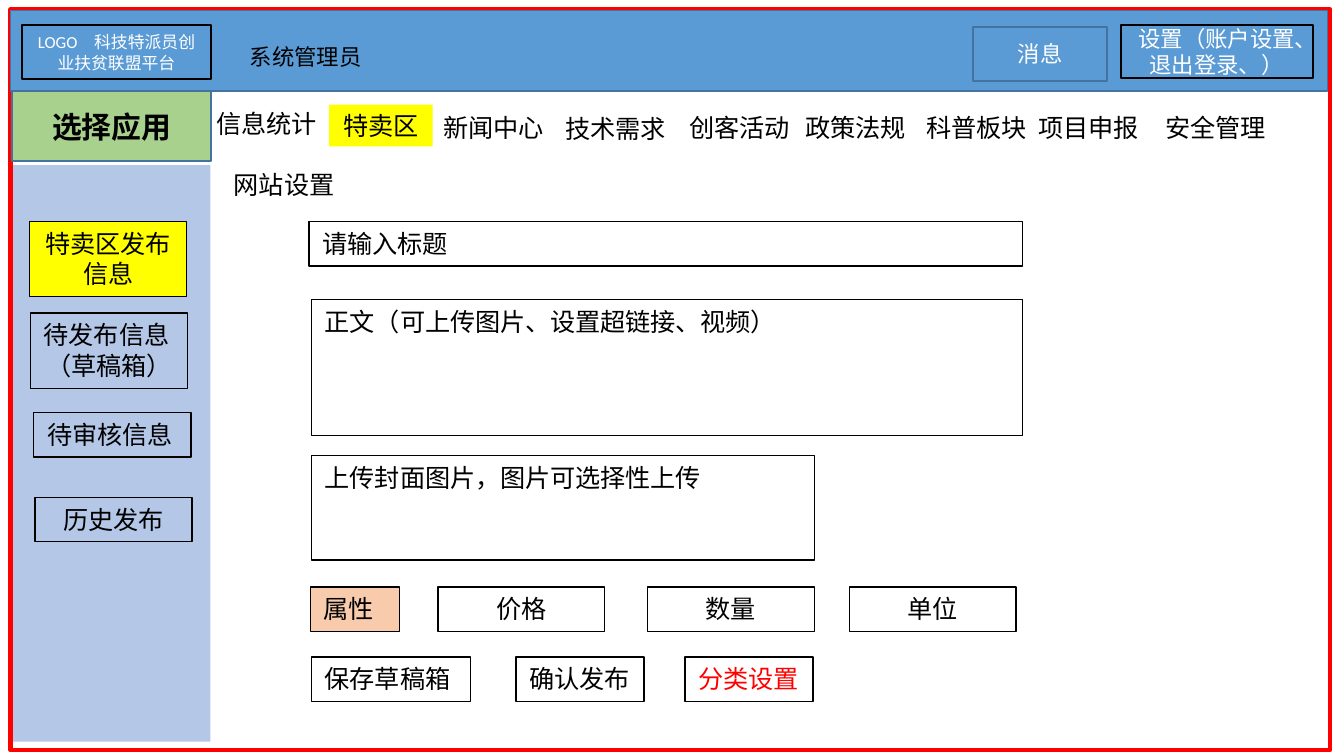
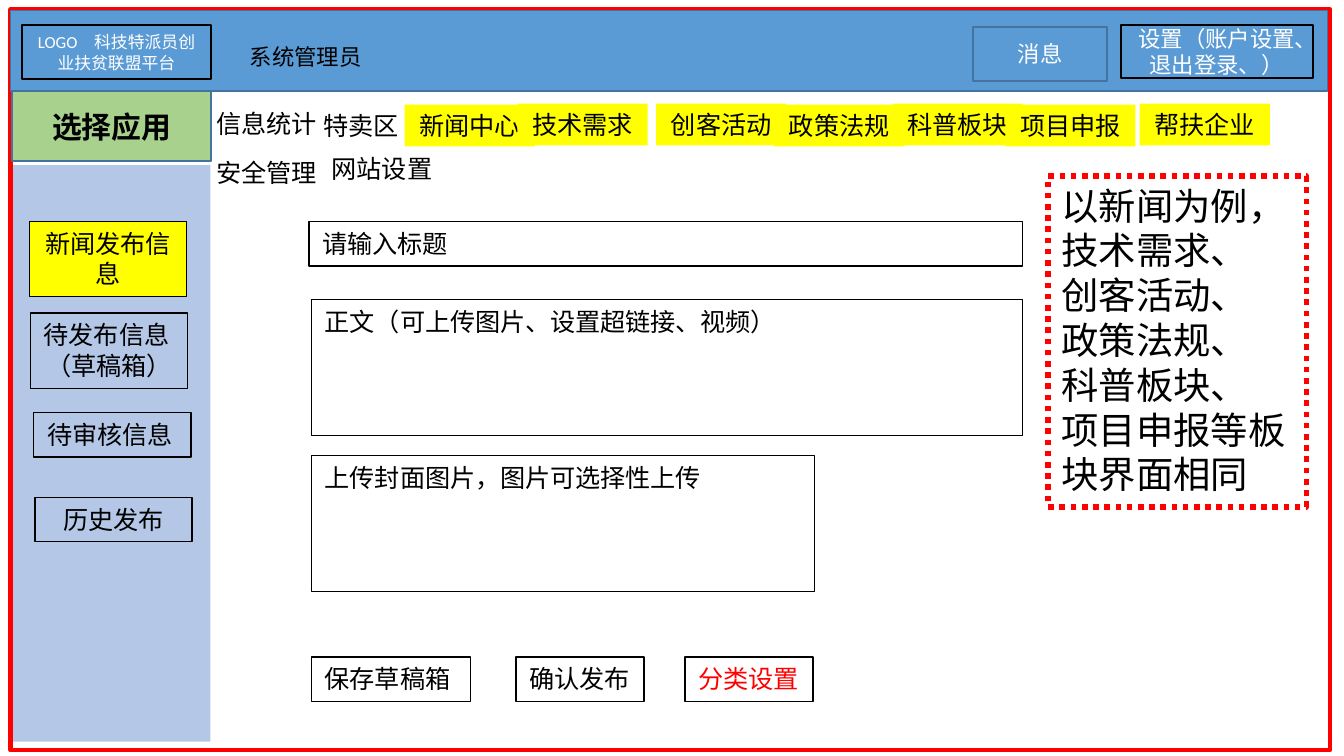
"""Build two wireframe slides of a publishing console."""
import dataclasses
import typing

import pptx
import pptx.dml.color
import pptx.enum.dml
import pptx.enum.shapes
import pptx.enum.text
import pptx.slide
import pptx.util

Cm = pptx.util.Cm
Pt = pptx.util.Pt
ALIGN = pptx.enum.text.PP_ALIGN
ANCHOR = pptx.enum.text.MSO_ANCHOR


@dataclasses.dataclass(frozen=True)
class Theme:
    font: str = "Calibri"
    black: str = "000000"
    white: str = "FFFFFF"
    red: str = "FF0000"
    blue: str = "5B9BD5"
    navy: str = "43739E"
    green: str = "A9D18E"
    pale: str = "B4C7E7"
    yellow: str = "FFFF00"
    peach: str = "F8CBAD"
    tiny: float = 9
    small: float = 12
    base: float = 13.5
    head: float = 16
    large: float = 20
    hair: float = 0.75
    thin: float = 1
    frame: float = 2.25
    thick: float = 3


THEME = Theme()


@dataclasses.dataclass(frozen=True)
class Box:
    left: float
    top: float
    width: float
    height: float
    text: str = ""
    fill: str = ""
    line: str = ""
    weight: float = THEME.hair
    size: float = THEME.base
    color: str = THEME.black
    bold: bool = False
    center: bool = True
    middle: bool = True
    dotted: bool = False


class Tab(typing.NamedTuple):
    text: str
    left: float
    top: float
    lit: bool = False


def rgb(code: str) -> pptx.dml.color.RGBColor:
    return pptx.dml.color.RGBColor.from_string(code)


def assign(target: typing.Any, values: dict[str, typing.Any]) -> None:
    for name, value in values.items():
        setattr(target, name, value)


def write(frame: typing.Any, box: Box) -> None:
    assign(frame, {
        "word_wrap": True,
        "vertical_anchor": ANCHOR.MIDDLE if box.middle else ANCHOR.TOP,
    })
    for index, text in enumerate(box.text.split("\n")):
        para = frame.paragraphs[0] if index == 0 else frame.add_paragraph()
        center = box.center or text.startswith("（")
        para.alignment = ALIGN.CENTER if center else ALIGN.LEFT
        run = para.add_run()
        run.text = text
        assign(run.font, {"name": THEME.font, "size": Pt(box.size), "bold": box.bold})
        run.font.color.rgb = rgb(box.color)


def draw(slide: pptx.slide.Slide, box: Box) -> None:
    place = [Cm(value) for value in (box.left, box.top, box.width, box.height)]
    if box.fill or box.line:
        shape = slide.shapes.add_shape(pptx.enum.shapes.MSO_SHAPE.RECTANGLE, *place)
        shape.shadow.inherit = False
    else:
        shape = slide.shapes.add_textbox(*place)
    if box.fill:
        shape.fill.solid()
        shape.fill.fore_color.rgb = rgb(box.fill)
    else:
        shape.fill.background()
    if box.line:
        shape.line.color.rgb = rgb(box.line)
        shape.line.width = Pt(box.weight)
        if box.dotted:
            shape.line.dash_style = pptx.enum.dml.MSO_LINE.ROUND_DOT
    else:
        shape.line.fill.background()
    if box.text:
        write(shape.text_frame, box)


def field(left: float, top: float, width: float, text: str, height: float = 0.84,
          center: bool = False, fill: str = "", color: str = THEME.black) -> Box:
    return Box(left, top, width, height, text, fill, THEME.black,
               color=color, center=center, middle=False)


def label(tab: Tab) -> Box:
    width = 0.5 * len(tab.text) + 0.46
    return Box(tab.left, tab.top, width, 0.79, tab.text, THEME.yellow if tab.lit else "")


HEADER = (
    Box(0.2, 0.18, 24.94, 14, line=THEME.red, weight=THEME.frame),
    Box(0.2, 0.2, 24.89, 1.52, fill=THEME.blue, line=THEME.navy, weight=THEME.thin),
    Box(0.41, 0.48, 3.58, 1.02, "LOGO　科技特派员创业扶贫联盟平台", THEME.blue,
        THEME.black, THEME.thin, THEME.tiny, THEME.white),
    Box(21.18, 0.48, 3.63, 0.99, "设置（账户设置、退出登录、）", THEME.blue,
        THEME.black, THEME.thin, THEME.small, THEME.white),
    Box(0.23, 1.73, 3.76, 1.32, "选择应用", THEME.green,
        THEME.navy, THEME.thin, THEME.head, bold=True),
    Box(4.04, 0.69, 3.48, 0.76, "系统管理员", size=THEME.small, middle=False),
    Box(18.39, 0.51, 2.54, 1.02, "消息", "",
        THEME.navy, THEME.thin, THEME.small, THEME.white),
)

PANEL = (
    Box(0.25, 3.12, 3.73, 10.9, fill=THEME.pale),
    field(0.64, 7.8, 2.97, "待审核信息"),
    field(0.58, 5.92, 2.97, "待发布信息\n（草稿箱）", 1.42),
    field(0.66, 9.4, 2.97, "历史发布", center=True),
)

FORM = (
    field(5.84, 4.19, 13.49, "请输入标题"),
    field(5.89, 5.66, 13.44, "正文（可上传图片、设置超链接、视频）", 2.57),
    field(9.75, 12.42, 2.42, "确认发布"),
    field(5.89, 12.42, 3, "保存草稿箱"),
    field(12.95, 12.42, 2.42, "分类设置", color=THEME.red),
)

SALE_TABS = (
    Tab("特卖区", 6.22, 1.98, True),
    Tab("科普板块", 17.22, 2.01),
    Tab("新闻中心", 8.1, 2.01),
    Tab("创客活动", 12.75, 2.01),
    Tab("政策法规", 14.94, 2.01),
    Tab("项目申报", 19.35, 2.01),
    Tab("技术需求", 10.41, 2.03),
    Tab("安全管理", 21.74, 2.01),
    Tab("网站设置", 4.14, 3.1),
    Tab("信息统计", 3.81, 1.93),
)

NEWS_TABS = (
    Tab("特卖区", 5.84, 1.98),
    Tab("科普板块", 16.87, 1.96, True),
    Tab("新闻中心", 7.65, 1.98, True),
    Tab("创客活动", 12.4, 1.96, True),
    Tab("政策法规", 14.63, 1.98, True),
    Tab("项目申报", 19, 1.98, True),
    Tab("技术需求", 9.78, 1.96, True),
    Tab("安全管理", 3.81, 2.87),
    Tab("网站设置", 5.99, 2.79),
    Tab("信息统计", 3.81, 1.93),
    Tab("帮扶企业", 21.54, 1.96, True),
)

SALE_EXTRAS = (
    field(5.87, 11.1, 1.68, "属性", fill=THEME.peach),
    *(field(left, 11.1, 3.15, text, center=True)
      for left, text in ((8.28, "价格"), (12.24, "数量"), (16.05, "单位"))),
)

NOTE = "以新闻为例，技术需求、\n创客活动、\n政策法规、\n科普板块、\n项目申报等板块界面相同"
NEWS_EXTRAS = (
    Box(19.81, 3.33, 4.88, 6.25, NOTE, "", THEME.red, THEME.thick, THEME.large,
        center=False, middle=False, dotted=True),
)


def page(deck: typing.Any, active: str, cover: float,
         tabs: tuple[Tab, ...], extras: tuple[Box, ...]) -> None:
    slide = deck.slides.add_slide(deck.slide_layouts[6])
    own = (
        field(0.56, 4.19, 2.97, active, 1.42, True, THEME.yellow),
        field(5.89, 8.61, 9.5, "上传封面图片，图片可选择性上传", cover),
    )
    for box in (*HEADER, *PANEL, *FORM, *own, *extras, *map(label, tabs)):
        draw(slide, box)


def main() -> None:
    deck = pptx.Presentation()
    assign(deck, {"slide_width": Cm(25.4), "slide_height": Cm(14.29)})
    page(deck, "特卖区发布信息", 1.98, SALE_TABS, SALE_EXTRAS)
    page(deck, "新闻发布信息", 2.57, NEWS_TABS, NEWS_EXTRAS)
    deck.save("out.pptx")


if __name__ == "__main__":
    main()
